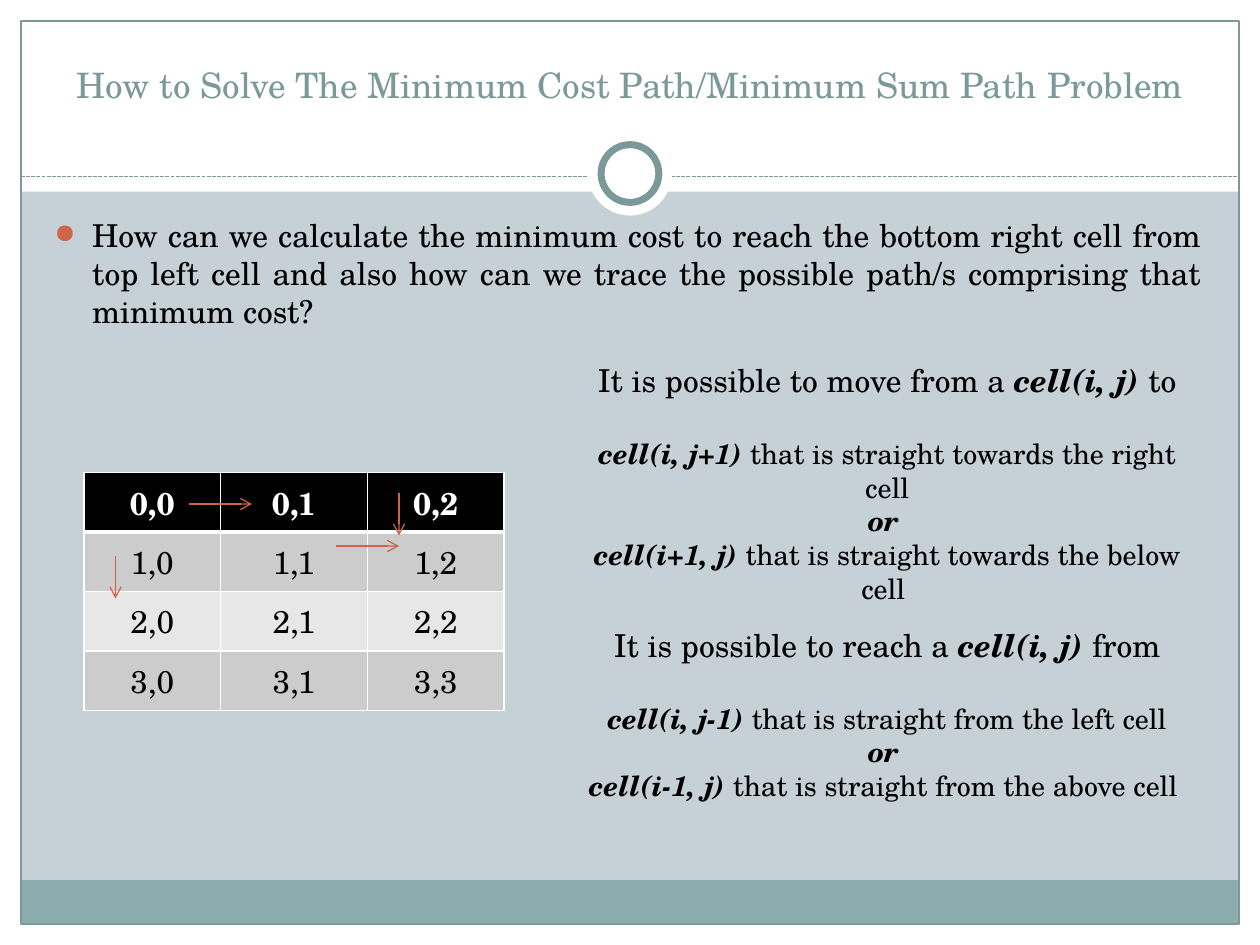
from typing import NamedTuple, Optional

from lxml.etree import SubElement
from pptx import Presentation
from pptx.dml.color import RGBColor
from pptx.enum.dml import MSO_LINE
from pptx.enum.shapes import MSO_CONNECTOR, MSO_SHAPE
from pptx.enum.text import MSO_ANCHOR, PP_ALIGN
from pptx.oxml.ns import qn
from pptx.util import Pt

FONT = "TeX Gyre Schola"
WHITE = RGBColor(0xFF, 0xFF, 0xFF)
BLACK = RGBColor(0, 0, 0)
BACKDROP = RGBColor(0xC5, 0xD1, 0xD7)
BAND = RGBColor(0x8C, 0xAD, 0xAE)
TEAL = RGBColor(0x7C, 0x99, 0x9A)
ORANGE = RGBColor(0xD1, 0x63, 0x49)
ODD_ROW = RGBColor(0xCC, 0xCC, 0xCC)
EVEN_ROW = RGBColor(0xE7, 0xE7, 0xE7)


class Box(NamedTuple):
    left: float
    top: float
    width: float
    height: float


class Decor(NamedTuple):
    kind: MSO_SHAPE
    box: Box
    fill: Optional[RGBColor] = WHITE
    line_width: float = 0


class Span(NamedTuple):
    text: str
    strong: bool = False


class Line(NamedTuple):
    spans: list[Span]
    size: float = 16
    space_before: float = 0


class Stroke(NamedTuple):
    x1: float
    y1: float
    x2: float
    y2: float


prs = Presentation()
prs.slide_width, prs.slide_height = Pt(720), Pt(540)
slide = prs.slides.add_slide(prs.slide_layouts[6])
slide.background.fill.solid()
slide.background.fill.fore_color.rgb = BACKDROP


def add_decor(decor: Decor) -> None:
    shape = slide.shapes.add_shape(decor.kind, *map(Pt, decor.box))
    shape.shadow.inherit = False
    if decor.fill is None:
        shape.fill.background()
    else:
        shape.fill.solid()
        shape.fill.fore_color.rgb = decor.fill
    if decor.line_width:
        shape.line.color.rgb = TEAL
        shape.line.width = Pt(decor.line_width)
    else:
        shape.line.fill.background()


def add_stroke(stroke: Stroke, color: RGBColor):
    connector = slide.shapes.add_connector(MSO_CONNECTOR.STRAIGHT, *map(Pt, stroke))
    connector.line.color.rgb = color
    connector.line.width = Pt(0.75)
    SubElement(connector._element.spPr, qn("a:effectLst"))
    return connector


def add_arrow(stroke: Stroke) -> None:
    line = add_stroke(stroke, ORANGE).line
    SubElement(line._get_or_add_ln(), qn("a:tailEnd"), type="arrow")


def add_run(paragraph, text: str, size: float, color: RGBColor = BLACK,
            bold: bool = False, italic: bool = False) -> None:
    run = paragraph.add_run()
    run.text = text
    run.font.name, run.font.size = FONT, Pt(size)
    run.font.bold, run.font.italic = bold, italic
    run.font.color.rgb = color


def add_text(box: Box, lines: list[Line], align: PP_ALIGN = PP_ALIGN.CENTER,
             color: RGBColor = BLACK, anchor: MSO_ANCHOR = MSO_ANCHOR.TOP):
    frame = slide.shapes.add_textbox(*map(Pt, box)).text_frame
    frame.word_wrap = True
    frame.vertical_anchor = anchor
    for index, line in enumerate(lines):
        paragraph = frame.add_paragraph() if index else frame.paragraphs[0]
        paragraph.alignment = align
        paragraph.space_before = Pt(line.space_before)
        for span in line.spans:
            add_run(paragraph, span.text, line.size, color, span.strong, span.strong)
    return frame


def add_bullet(paragraph) -> None:
    properties = paragraph._p.get_or_add_pPr()
    properties.set("marL", str(Pt(21.6)))
    properties.set("indent", str(-Pt(21.6)))
    bullet_color = SubElement(properties, qn("a:buClr"))
    SubElement(bullet_color, qn("a:srgbClr"), val=str(ORANGE))
    SubElement(properties, qn("a:buSzPct"), val="85000")
    SubElement(properties, qn("a:buChar"), char="●")


def add_borders(cell, row: int) -> None:
    widths = {"L": 1, "R": 1, "T": 3 if row == 1 else 1, "B": 3 if row == 0 else 1}
    properties = cell._tc.get_or_add_tcPr()
    for side, width in widths.items():
        border = SubElement(properties, qn(f"a:ln{side}"), w=str(Pt(width)))
        fill = SubElement(border, qn("a:solidFill"))
        SubElement(fill, qn("a:srgbClr"), val=str(WHITE))


# White margins, bottom band and frame
for margin in (
    Decor(MSO_SHAPE.RECTANGLE, Box(0, 528, 720, 12)),
    Decor(MSO_SHAPE.RECTANGLE, Box(0, 0, 720, 109.5)),
    Decor(MSO_SHAPE.RECTANGLE, Box(0, 0, 12, 540)),
    Decor(MSO_SHAPE.RECTANGLE, Box(708, 0, 12, 540)),
    Decor(MSO_SHAPE.RECTANGLE, Box(12, 503, 696, 25), BAND),
    Decor(MSO_SHAPE.RECTANGLE, Box(12, 12, 696, 516), None, 0.75),
):
    add_decor(margin)

# Dashed divider with its ring
add_stroke(Stroke(12, 100.8, 708, 100.8), TEAL).line.dash_style = MSO_LINE.SQUARE_DOT
add_decor(Decor(MSO_SHAPE.OVAL, Box(336, 75.2, 48, 48)))
add_decor(Decor(MSO_SHAPE.OVAL, Box(343.5, 82.7, 33, 33), WHITE, 4))

# Title and question
add_text(Box(24, 18, 672, 60), [Line([Span(
    "How to Solve The Minimum Cost Path/Minimum Sum Path Problem")], 20)],
    color=TEAL, anchor=MSO_ANCHOR.MIDDLE)
question = add_text(Box(24, 120, 669.6, 360), [Line([Span(
    "How can we calculate the minimum cost to reach the bottom right cell from "
    "top left cell and also how can we trace the possible path/s comprising that "
    "minimum cost?")], 18)], PP_ALIGN.JUSTIFY)
add_bullet(question.paragraphs[0])

# Cost grid
CELLS = [["0,0", "0,1", "0,2"], ["1,0", "1,1", "1,2"],
         ["2,0", "2,1", "2,2"], ["3,0", "3,1", "3,3"]]
ROW_FILLS = [BLACK, ODD_ROW, EVEN_ROW, ODD_ROW]
grid = slide.shapes.add_table(4, 3, Pt(48), Pt(270), Pt(240), Pt(136)).table
for column, width in zip(grid.columns, (78, 84, 78)):
    column.width = Pt(width)
for r, (labels, row_fill) in enumerate(zip(CELLS, ROW_FILLS)):
    grid.rows[r].height = Pt(34)
    for c, label in enumerate(labels):
        cell = grid.cell(r, c)
        add_borders(cell, r)
        cell.fill.solid()
        cell.fill.fore_color.rgb = row_fill
        cell.vertical_anchor = MSO_ANCHOR.MIDDLE
        paragraph = cell.text_frame.paragraphs[0]
        paragraph.alignment = PP_ALIGN.CENTER
        add_run(paragraph, label, 18, BLACK if r else WHITE, bold=r == 0)


# Allowed moves
def add_moves(top: float, verb: str, ending: str, first: list[Span],
              second: list[Span]) -> None:
    add_text(Box(324, top, 366, 109), [
        Line([Span(f"It is possible to {verb} a "), Span("cell(i, j) ", True),
              Span(ending)], 18),
        Line(first, space_before=21.5),
        Line([Span("or ", True)]),
        Line(second),
    ])


add_moves(203, "move from", "to",
          [Span("cell(i, j+1)", True), Span(" that is straight towards the right cell")],
          [Span("cell(i+1, j) ", True), Span("that is straight towards the below cell ")])
add_moves(354, "reach", "from",
          [Span("cell(i, j-1)", True), Span(" that is straight from the left cell")],
          [Span("cell(i-1, j) ", True), Span("that is straight from the above cell ")])

# Move arrows over the grid
for move in (Stroke(108, 288, 144, 288), Stroke(66, 318, 66, 342),
             Stroke(192, 312, 228, 312), Stroke(228, 282, 228, 306)):
    add_arrow(move)

prs.save("out.pptx")
